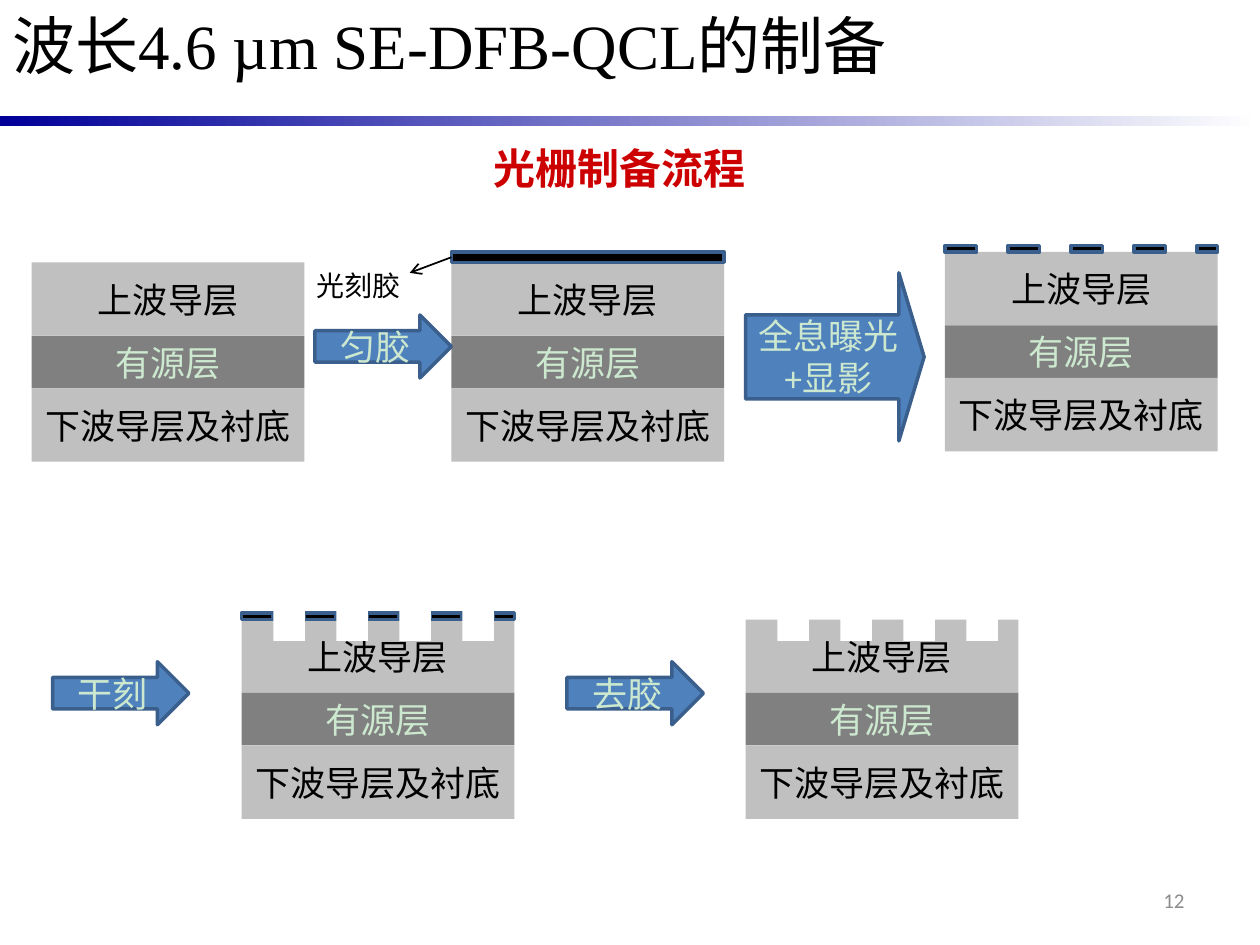
"""Builds the slide on the grating fabrication flow of an SE-DFB-QCL."""
from lxml import etree
from pptx import Presentation
from pptx.dml.color import RGBColor
from pptx.enum.shapes import MSO_CONNECTOR, MSO_SHAPE
from pptx.enum.text import MSO_ANCHOR, PP_ALIGN
from pptx.oxml.ns import qn
from pptx.util import Cm, Pt

RECT, ARROW = MSO_SHAPE.RECTANGLE, MSO_SHAPE.RIGHT_ARROW
LINE = MSO_CONNECTOR.STRAIGHT
LEFT, MID, RIGHT = PP_ALIGN.LEFT, PP_ALIGN.CENTER, PP_ALIGN.RIGHT
TOP, MIDDLE = MSO_ANCHOR.TOP, MSO_ANCHOR.MIDDLE

HEX = {
    "navy": "000099", "white": "FFFFFF", "black": "000000", "red": "CC0000",
    "clad": "C0C0C0", "core": "808080", "pale": "CCE8CF",
    "blue": "4F81BD", "edge": "3A5F8C", "page": "8C8C8C",
}

TITLE = [("波长4.6 µm SE-DFB-QCL", "Times New Roman"), ("的制备", "Arial")]
LAYERS = [
    ("上波导层", 1.48, "clad", "black"),
    ("有源层", 1.06, "core", "pale"),
    ("下波导层及衬底", 1.48, "clad", "black"),
]
STACKS = [
    (0.64, 5.29, ()),
    (9.1, 5.29, ()),
    (19.05, 5.08, ("mask",)),
    (4.87, 12.49, ("mask", "etch")),
    (15.03, 12.49, ("etch",)),
]
STEPS = [
    ("匀胶", 6.35, 6.35, 2.75, 1.27, 0.5),
    ("全息曝光+显影", 15.03, 5.5, 3.6, 3.39, 0.15),
    ("干刻", 1.06, 13.34, 2.75, 1.27, 0.5),
    ("去胶", 11.43, 13.34, 2.75, 1.27, 0.5),
]
NOTES = [
    ("光栅制备流程", (0, 2.75, 24.98, 1.27), 24, "Arial", "red", MID, TOP),
    ("光刻胶", (6.14, 5.29, 2.23, 0.94), 16, "Arial", "black", LEFT, TOP),
    ("12", (18.2, 17.65, 5.93, 1.01), 12, "Calibri", "page", RIGHT, MIDDLE),
]
WIDE, PITCH, TOOTH, FILM = 5.5, 1.27, 0.64, 0.13
RISE, DEPTH = 0.21, 0.64


def color(name):
    return RGBColor.from_string(HEX[name])


def style(font, size, face, tint):
    font.size, font.name = Pt(size), face
    font.color.rgb = color(tint)


def block(shapes, kind, box, fill, edge=None):
    shape = shapes.add_shape(kind, *map(Cm, box))
    shape.shadow.inherit = False
    shape.fill.solid()
    shape.fill.fore_color.rgb = color(fill)
    if edge:
        shape.line.color.rgb = color(edge)
        shape.line.width = Pt(2)
    else:
        shape.line.fill.background()
    return shape


def label(shape, text, tint):
    frame = shape.text_frame
    frame.text = text
    frame.word_wrap = True
    frame.vertical_anchor = MIDDLE
    para = frame.paragraphs[0]
    para.alignment = MID
    style(para.runs[0].font, 20, "Calibri", tint)


def stack(slide, left, top, parts):
    shapes = slide.shapes.add_group_shape().shapes
    y = top
    for text, high, fill, tint in LAYERS:
        label(block(shapes, RECT, (left, y, WIDE, high), fill), text, tint)
        y += high
    if "mask" in parts:
        for i in range(5):
            wide = min(TOOTH, WIDE - i * PITCH)
            box = (left + i * PITCH, top - FILM, wide, FILM)
            block(shapes, RECT, box, "black", "edge")
    if "etch" in parts:
        for i in range(4):
            x = left + TOOTH + i * PITCH
            block(shapes, RECT, (x, top - RISE, TOOTH, DEPTH), "white")


def note(slide, text, box, size, face, tint, align, anchor):
    frame = slide.shapes.add_textbox(*map(Cm, box)).text_frame
    frame.text = text
    frame.word_wrap = True
    frame.vertical_anchor = anchor
    para = frame.paragraphs[0]
    para.alignment = align
    style(para.runs[0].font, size, face, tint)
    para.runs[0].font.bold = tint == "red"


def title(slide):
    box = slide.shapes.add_textbox(0, 0, Cm(24.33), Cm(3.33))
    box.text_frame.word_wrap = True
    para = box.text_frame.paragraphs[0]
    for text, face in TITLE:
        run = para.add_run()
        run.text = text
        style(run.font, 36, face, "black")


def rule(slide):
    bar = block(slide.shapes, RECT, (0, 2.33, 25.4, 0.21), "navy")
    bar.fill.gradient()
    bar.fill.gradient_angle = 0
    for stop, name in zip(bar.fill.gradient_stops, ("navy", "white")):
        stop.color.rgb = color(name)


def resist(slide):
    film = block(slide.shapes, RECT, (9.1, 5.08, WIDE, 0.21), "black", "edge")
    ends = map(Cm, (9.1, 5.19, 8.26, 5.5))
    lead = slide.shapes.add_connector(LINE, *ends)
    lead.begin_connect(film, 1)
    lead.line.color.rgb = color("black")
    lead.line.width = Pt(1)
    props = lead.line._get_or_add_ln()
    etree.SubElement(props, qn("a:tailEnd"), type="arrow")
    etree.SubElement(lead._element.spPr, qn("a:effectLst"))


def main():
    deck = Presentation()
    deck.slide_width, deck.slide_height = Cm(25.4), Cm(19.05)
    slide = deck.slides.add_slide(deck.slide_layouts[6])
    slide.background.fill.solid()
    slide.background.fill.fore_color.rgb = color("white")
    rule(slide)
    title(slide)
    for item in STACKS:
        stack(slide, *item)
    for text, x, y, wide, high, head in STEPS:
        arrow = block(slide.shapes, ARROW, (x, y, wide, high), "blue", "edge")
        arrow.adjustments[1] = head
        label(arrow, text, "pale")
    resist(slide)
    for item in NOTES:
        note(slide, *item)
    deck.save("out.pptx")


if __name__ == "__main__":
    main()
